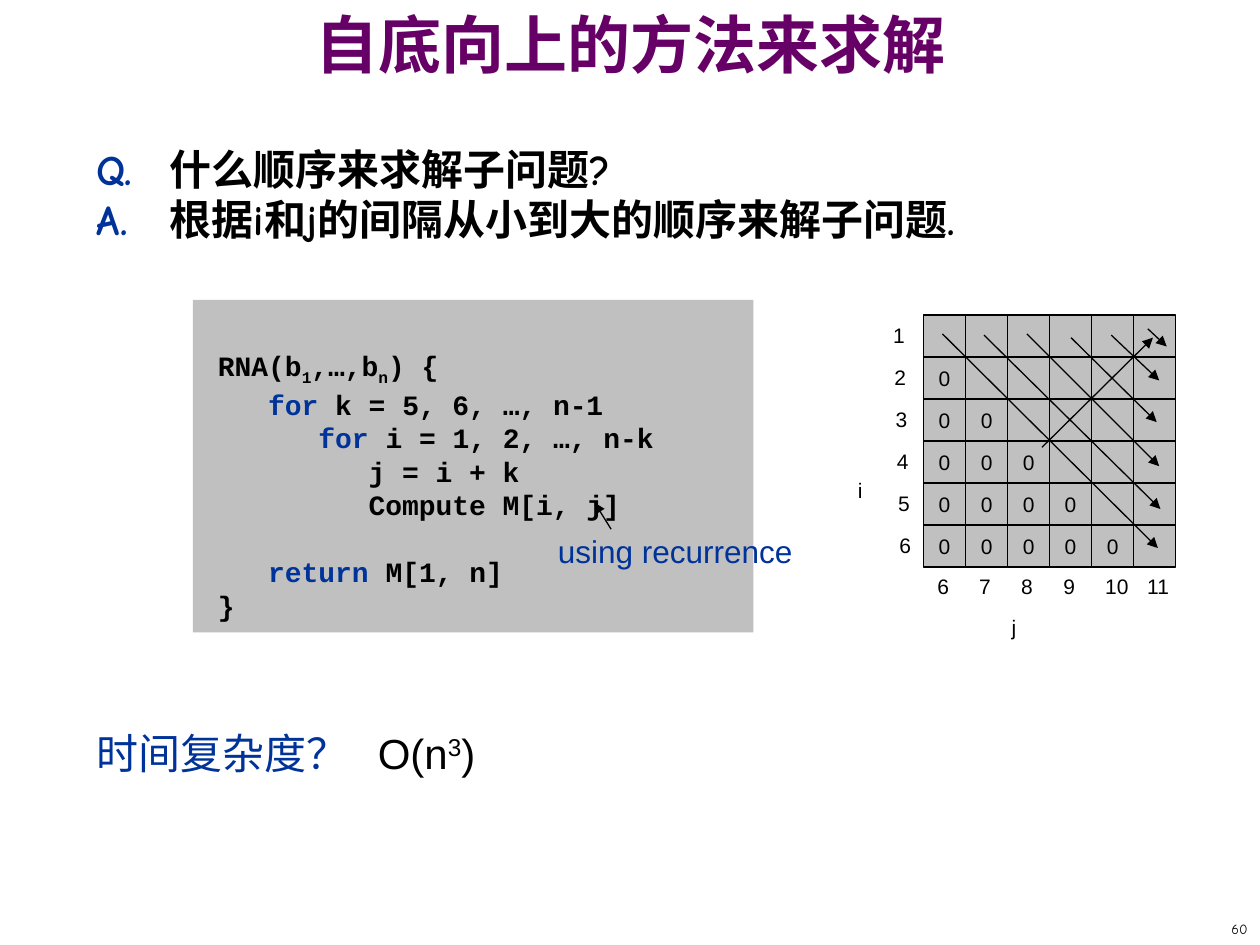
from lxml import etree
from pptx import Presentation
from pptx.dml.color import RGBColor
from pptx.enum.shapes import MSO_CONNECTOR, MSO_SHAPE
from pptx.enum.text import MSO_ANCHOR, MSO_AUTO_SIZE, PP_ALIGN
from pptx.oxml.ns import qn
from pptx.util import Inches, Pt

BLACK, BLUE, PURPLE, GRAY = "000000", "003399", "660066", "C0C0C0"
CELL = 1 / 3
GRID_LEFT, GRID_TOP, GRID_SIZE = 7.33, 2.5, 6

CODE = [
    [("RNA(b", BLACK), ("1", BLACK, -25), (",…,b", BLACK), ("n", BLACK, -25), (") {", BLACK)],
    [("   for", BLUE), (" k = 5, 6, …, n-1", BLACK)],
    [("      for", BLUE), (" i = 1, 2, …, n-k", BLACK)],
    [("         j = i + k", BLACK)],
    [("         Compute M[i, j]", BLACK)],
    [("   return", BLUE), (" M[1, n]", BLACK)],
    [("}", BLACK)],
]
RETURN_LINE = 5

ORDER_ARROWS = [
    (7.48, 2.65, 9.19, 4.35),
    (7.81, 2.66, 9.21, 4.04),
    (8.15, 2.65, 9.2, 3.7),
    (8.5, 2.68, 9.18, 3.35),
    (8.82, 2.66, 9.2, 3.02),
    (9.11, 2.61, 9.26, 2.75),
    (8.27, 3.55, 9.15, 2.68),
]


def rgb(color):
    return RGBColor.from_string(color)


def add_runs(p, runs, size, font, bold=False):
    """Add (text, color[, baseline percent]) runs to a paragraph."""
    for text, color, *baseline in runs:
        r = p.add_run()
        r.text = text
        r.font.size = Pt(size)
        r.font.name = font
        r.font.bold = bold
        r.font.color.rgb = rgb(color)
        if baseline:
            r.font._element.set("baseline", str(baseline[0] * 1000))


def add_tab_stop(p, position):
    tabs = etree.SubElement(p._p.get_or_add_pPr(), qn("a:tabLst"))
    etree.SubElement(tabs, qn("a:tab"), pos=str(Inches(position)), algn="l")


def add_text(s, left, top, width, height, paragraphs, size, font="Arial",
             bold=False, wrap=False, tab=None):
    sp = s.shapes.add_textbox(Inches(left), Inches(top), Inches(width), Inches(height))
    tf = sp.text_frame
    tf.word_wrap = wrap
    for i, runs in enumerate(paragraphs):
        p = tf.paragraphs[0] if i == 0 else tf.add_paragraph()
        if tab:
            add_tab_stop(p, tab)
        add_runs(p, runs, size, font, bold)
    return tf


def add_label(s, left, top, text):
    width = 0.39 if len(text) > 1 else 0.29
    add_text(s, left, top, width, 0.3, [[(text, BLACK)]], 12)


def add_box(s, left, top, width, height):
    sp = s.shapes.add_shape(MSO_SHAPE.RECTANGLE, Inches(left), Inches(top),
                            Inches(width), Inches(height))
    sp.shadow.inherit = False
    sp.fill.solid()
    sp.fill.fore_color.rgb = rgb(GRAY)
    sp.line.fill.background()
    return sp


def add_arrow(s, x1, y1, x2, y2):
    line = s.shapes.add_connector(MSO_CONNECTOR.STRAIGHT, Inches(x1), Inches(y1),
                                  Inches(x2), Inches(y2))
    line.line.color.rgb = rgb(BLACK)
    line.line.width = Pt(0.75)
    etree.SubElement(line.line._get_or_add_ln(), qn("a:tailEnd"), type="triangle")
    etree.SubElement(line._element.spPr, qn("a:effectLst"))


def add_title(s, text):
    sp = s.shapes.title
    sp.left, sp.top, sp.width, sp.height = Inches(0), Inches(0.17), Inches(10), Inches(0.5)
    tf = sp.text_frame
    tf.auto_size = MSO_AUTO_SIZE.NONE
    tf.vertical_anchor = MSO_ANCHOR.MIDDLE
    p = tf.paragraphs[0]
    p.alignment = PP_ALIGN.CENTER
    p.line_spacing = 0.7
    add_runs(p, [(text, PURPLE)], 36, "Comic Neue", bold=True)


def add_code(s):
    tf = add_box(s, 1.53, 2.38, 4.45, 2.64).text_frame
    tf.vertical_anchor = MSO_ANCHOR.TOP
    tf.margin_left, tf.margin_right = Inches(0.2), Inches(0.15)
    tf.margin_top, tf.margin_bottom = Inches(0.39), Inches(0.1)
    for i, runs in enumerate(CODE):
        p = tf.paragraphs[0] if i == 0 else tf.add_paragraph()
        p.alignment = PP_ALIGN.LEFT
        if i == RETURN_LINE:
            p.space_before = Pt(19)
        add_runs(p, runs, 16, "Courier New", bold=True)


def add_cell(s, row, col):
    sp = add_box(s, GRID_LEFT + col * CELL, GRID_TOP + row * CELL, CELL, CELL)
    sp.line.color.rgb = rgb(BLACK)
    sp.line.width = Pt(0.75)
    if col < row:
        tf = sp.text_frame
        tf.word_wrap = False
        tf.vertical_anchor = MSO_ANCHOR.MIDDLE
        p = tf.paragraphs[0]
        p.alignment = PP_ALIGN.CENTER
        add_runs(p, [("0", BLACK)], 12, "Arial")


def add_matrix(s):
    for row in range(GRID_SIZE):
        for col in range(GRID_SIZE):
            add_cell(s, row, col)
    for i in range(GRID_SIZE):
        add_label(s, 6.99 + i * 0.01, 2.51 + i * CELL, str(i + 1))
        add_label(s, 7.34 + i * CELL, 4.5, str(i + 6))
    add_label(s, 6.71, 3.74, "i")
    add_label(s, 7.93, 4.83, "j")
    for ends in ORDER_ARROWS:
        add_arrow(s, *ends)


def main():
    prs = Presentation()
    prs.slide_width, prs.slide_height = Inches(10), Inches(7.5)
    s = prs.slides.add_slide(prs.slide_layouts[5])

    add_title(s, "自底向上的方法来求解")
    add_text(s, 0.67, 1.09, 8.58, 0.98, [
        [("Q.\t", BLUE), ("什么顺序来求解子问题?", BLACK)],
        [("A.\t", BLUE), ("根据i和j的间隔从小到大的顺序来解子问题.", BLACK)],
    ], 24, "Comic Neue", bold=True, wrap=True, tab=0.58)

    add_code(s)
    add_arrow(s, 4.85, 4.2, 4.72, 3.99)
    add_text(s, 4.33, 4.17, 2.06, 0.4, [[("using recurrence", BLUE)]], 18)
    add_matrix(s)

    tf = add_text(s, 0.67, 5.76, 8.58, 0.98, [
        [("时间复杂度？\t", BLUE), ("O(n", BLACK), ("3", BLACK, 30), (")", BLACK)],
    ], 24, wrap=True, tab=2.23)
    tf.paragraphs[0].line_spacing = Pt(26)

    tf = add_text(s, 7.92, 7.25, 2.08, 0.25, [[("60", BLACK)]], 8, "Comic Neue")
    tf.vertical_anchor = MSO_ANCHOR.MIDDLE
    tf.paragraphs[0].alignment = PP_ALIGN.RIGHT
    prs.save("out.pptx")


if __name__ == "__main__":
    main()
